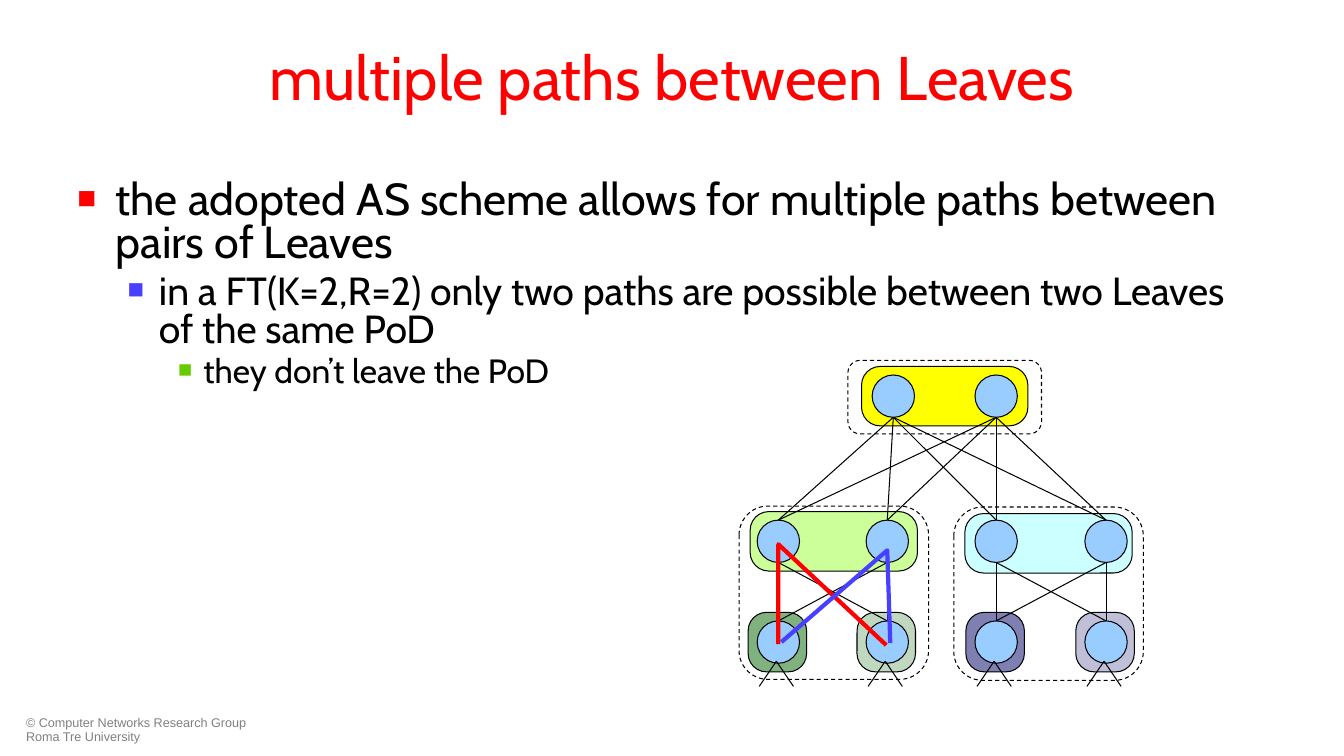
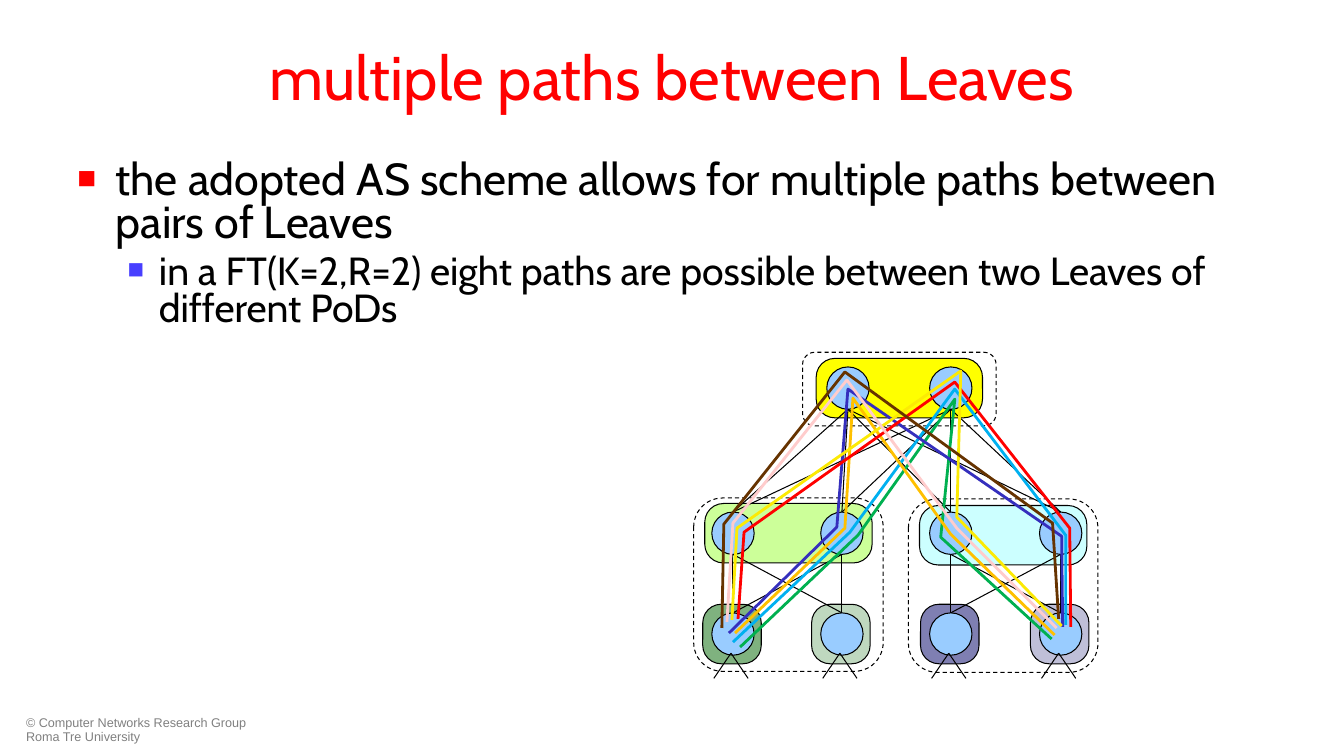
from dataclasses import dataclass
from itertools import product

from lxml.etree import SubElement
from pptx import Presentation
from pptx.dml.color import RGBColor
from pptx.enum.dml import MSO_LINE_DASH_STYLE as Dash
from pptx.enum.shapes import MSO_CONNECTOR as Conn, MSO_SHAPE as Kind
from pptx.enum.text import MSO_ANCHOR as Anchor, MSO_AUTO_SIZE as Fit, PP_ALIGN as Align
from pptx.oxml.ns import qn
from pptx.util import Inches, Pt


@dataclass(frozen=True)
class Theme:
    font: str = "Cabin"
    small: str = "Arial"
    title: str = "FF0000"
    text: str = "000000"
    foot: str = "808080"
    node: str = "99CCFF"
    top: str = "FFFF00"
    pods: tuple = ("CCFF99", "CCFFFF")
    leaves: tuple = ("006600", "000066")
    marks: tuple = ("FF0000", "483FFF", "66CC00")
    sizes: tuple = (32, 28, 24)
    head: int = 44
    note: int = 9
    thin: float = 0.75


T = Theme()
WIDE, HIGH = 13.33, 7.5
EDGE, SPAN = WIDE * 0.05, WIDE * 0.9
# Left indent and hanging indent of each list level
DENTS = ((0.38, -0.38), (0.81, -0.31), (1.25, -0.25))

# Tree grid, measured from the first leaf column and the top row
COLS = (0, 1.08, 2.16, 3.25)
TOPS = (1.14, 2.16)
ROWS = (0, 1.44, 2.44)
PODS = (0.55, 2.68)
NODE = 0.42
PAD = 0.59

HEAD = "multiple paths between Leaves"
LEAD = "the adopted AS scheme allows for multiple paths between pairs of Leaves"
FOOT = "© Computer Networks Research Group Roma Tre University"

# Routes: colour and way points on the tree grid
INNER = (
    ("FF0000", ((0, 2.46), (0, 1.47), (1.07, 2.47))),
    ("483FFF", ((0.03, 2.44), (1.08, 1.53), (1.11, 2.45))),
)
CROSS = (
    ("00B050", ((0.07, 2.57), (1.24, 1.46), (2.2, 0.11), (2.06, 1.48), (3.16, 2.49))),
    ("00B0F0", ((0, 2.52), (1.16, 1.43), (2.2, 0.01), (3.3, 1.46), (3.3, 2.35))),
    ("FFC000", ((0.02, 2.43), (1.11, 1.39), (1.19, 0.1), (2.16, 1.45), (3.19, 2.45))),
    ("352FBD", ((-0.04, 2.43), (1.03, 1.38), (1.14, 0.01), (3.26, 1.47), (3.27, 2.37))),
    ("FF0000", ((0.05, 2.29), (0.11, 1.43), (2.2, -0.06), (3.34, 1.39), (3.35, 2.37))),
    ("FCEA04", ((-0.01, 2.3), (0.04, 1.39), (2.26, -0.17), (2.22, 1.28), (3.26, 2.36))),
    ("FFCCCC", ((-0.06, 2.32), (0, 1.34), (1.13, -0.08), (2.22, 1.39), (3.21, 2.38))),
    ("663300", ((-0.11, 2.38), (-0.09, 1.35), (1.11, -0.16), (3.17, 1.34), (3.23, 2.29))),
)


# Text
def style(para, font, size, tint):
    for run in para.runs:
        run.font.name, run.font.size = font, Pt(size)
        run.font.color.rgb = RGBColor.from_string(tint)


def place(shape, left, top, width, height):
    shape.left, shape.top = Inches(left), Inches(top)
    shape.width, shape.height = Inches(width), Inches(height)


def bullet(para, level):
    para.level, para.line_spacing = level, 0.8
    props = para._p.get_or_add_pPr()
    left, hang = DENTS[level]
    props.set("marL", str(Inches(left)))
    props.set("indent", str(Inches(hang)))
    gap = SubElement(props, qn("a:spcBef"))
    SubElement(gap, qn("a:spcPct"), val="20000")
    tint = SubElement(props, qn("a:buClr"))
    SubElement(tint, qn("a:srgbClr"), val=T.marks[level])
    SubElement(props, qn("a:buSzPct"), val="70000")
    SubElement(props, qn("a:buFont"), typeface=T.small)
    SubElement(props, qn("a:buChar"), char="■")
    style(para, T.font, T.sizes[level], T.text)


def fill_list(body, lines, top, height):
    place(body, EDGE, top, SPAN, height)
    frame = body.text_frame
    frame.text = "\n".join(lines)
    frame.auto_size = Fit.NONE
    for level, para in enumerate(frame.paragraphs):
        bullet(para, level)


def fill_title(title):
    place(title, EDGE, 0.13, SPAN, 1.25)
    frame = title.text_frame
    frame.text = HEAD
    frame.auto_size, frame.vertical_anchor = Fit.NONE, Anchor.MIDDLE
    para = frame.paragraphs[0]
    para.alignment = Align.CENTER
    style(para, T.font, T.head, T.title)


def add_foot(layout, slide):
    """Make the footer and move it to the layout, so all slides share it."""
    for spot in list(layout.placeholders):
        if spot.placeholder_format.idx > 1:
            spot.element.getparent().remove(spot.element)
    box = slide.shapes.add_textbox(0, 0, 0, 0)
    place(box, 0.16, 7.06, 2.49, 0.36)
    frame = box.text_frame
    frame.word_wrap, frame.text = True, FOOT
    para = frame.paragraphs[0]
    para.line_spacing = 0.9
    style(para, T.small, T.note, T.foot)
    layout.shapes.element.append(box.element)


# Shapes
def ink(shape, tint=T.text, width=T.thin):
    shape.line.color.rgb = RGBColor.from_string(tint)
    shape.line.width = Pt(width)


class Tree:
    """A fat tree whose first column and top row meet at (left, top)."""

    def __init__(self, slide, left, top):
        self.slide, self.left, self.top = slide, left, top
        self.group = slide.shapes.add_group_shape().shapes

    def spot(self, x, y):
        return Inches(self.left + x), Inches(self.top + y)

    def shape(self, kind, x, y, width, height, tint=None, alpha=None):
        """Add a shape centred on a grid point."""
        item = self.group.add_shape(
            kind, *self.spot(x - width / 2, y - height / 2), Inches(width), Inches(height))
        item.shadow.inherit = False
        ink(item)
        if tint:
            item.fill.solid()
            item.fill.fore_color.rgb = RGBColor.from_string(tint)
        else:
            item.fill.background()
        if alpha:
            paint = item.element.spPr.find(qn("a:solidFill"))[0]
            SubElement(paint, qn("a:alpha"), val=str(alpha * 1000))
        return item

    def pad(self, x, y, width, tint, alpha=None):
        item = self.shape(Kind.ROUNDED_RECTANGLE, x, y, width, PAD, tint, alpha)
        item.adjustments[0] = 0.315

    def zone(self, x, y, width, height):
        item = self.shape(Kind.ROUNDED_RECTANGLE, x, y, width, height)
        item.line.dash_style = Dash.DASH

    def nodes(self, cols, row):
        return [self.shape(Kind.OVAL, x, row, NODE, NODE, T.node) for x in cols]

    def line(self, start, end):
        item = self.group.add_connector(Conn.STRAIGHT, *start, *end)
        ink(item)
        SubElement(item.element.spPr, qn("a:effectLst"))
        return item

    def mesh(self, uppers, lowers):
        for high, low in product(uppers, lowers):
            start = high.left + high.width // 2, high.top + high.height
            self.line(start, (low.left, low.top)).end_connect(low, 0)

    def route(self, tint, points, width):
        first, *rest = [self.spot(*point) for point in points]
        pen = self.slide.shapes.build_freeform(*first)
        pen.add_line_segments(rest, close=False)
        item = pen.convert_to_shape()
        item.shadow.inherit = False
        item.fill.background()
        ink(item, tint, width)

    def draw(self):
        mid = sum(TOPS) / 2
        # Pads behind the nodes
        self.pad(mid, ROWS[0], 1.65, T.top)
        for i, x in enumerate(PODS):
            self.pad(x, ROWS[1] + 0.02 * i, 1.66, T.pods[i])
        for i, x in enumerate(COLS):
            self.pad(x - 0.01, ROWS[2], 0.58, T.leaves[i // 2], (50, 25)[i % 2])
        # Nodes and links
        tops, spines, leaves = map(self.nodes, (TOPS, COLS, COLS), ROWS)
        self.mesh(tops, spines)
        for pod in (slice(0, 2), slice(2, 4)):
            self.mesh(spines[pod], leaves[pod])
        # Open links under the leaves
        foot = ROWS[2] + 0.19
        for x, side in product(COLS, (1, -1)):
            self.line(self.spot(x - 0.02, foot), self.spot(x - 0.02 + 0.17 * side, foot + 0.25))
        # Dashed zones
        for i, x in enumerate(PODS):
            self.zone(x, 1.95 + 0.01 * i, 1.88, 1.72)
        self.zone(mid, 0.01, 1.92, 0.73)


def add_page(deck, layout, lines, area, corner, routes, width):
    slide = deck.slides.add_slide(layout)
    fill_title(slide.shapes.title)
    fill_list(slide.placeholders[1], lines, *area)
    tree = Tree(slide, *corner)
    tree.draw()
    for tint, points in routes:
        tree.route(tint, points, width)
    return slide


def main():
    deck = Presentation()
    deck.slide_width, deck.slide_height = Inches(WIDE), Inches(HIGH)
    layout = deck.slide_layouts[1]
    # Paths inside one PoD
    same = (LEAD,
            "in a FT(K=2,R=2) only two paths are possible between two Leaves of the same PoD",
            "they don’t leave the PoD")
    first = add_page(deck, layout, same, (1.75, 5.25), (7.72, 3.93), INNER, 3)
    add_foot(layout, first)
    # Paths across PoDs
    apart = (LEAD,
             "in a FT(K=2,R=2) eight paths are possible between two Leaves of different PoDs")
    add_page(deck, layout, apart, (1.55, 5.15), (7.27, 3.85), CROSS, 2)
    deck.save("out.pptx")


if __name__ == "__main__":
    main()
